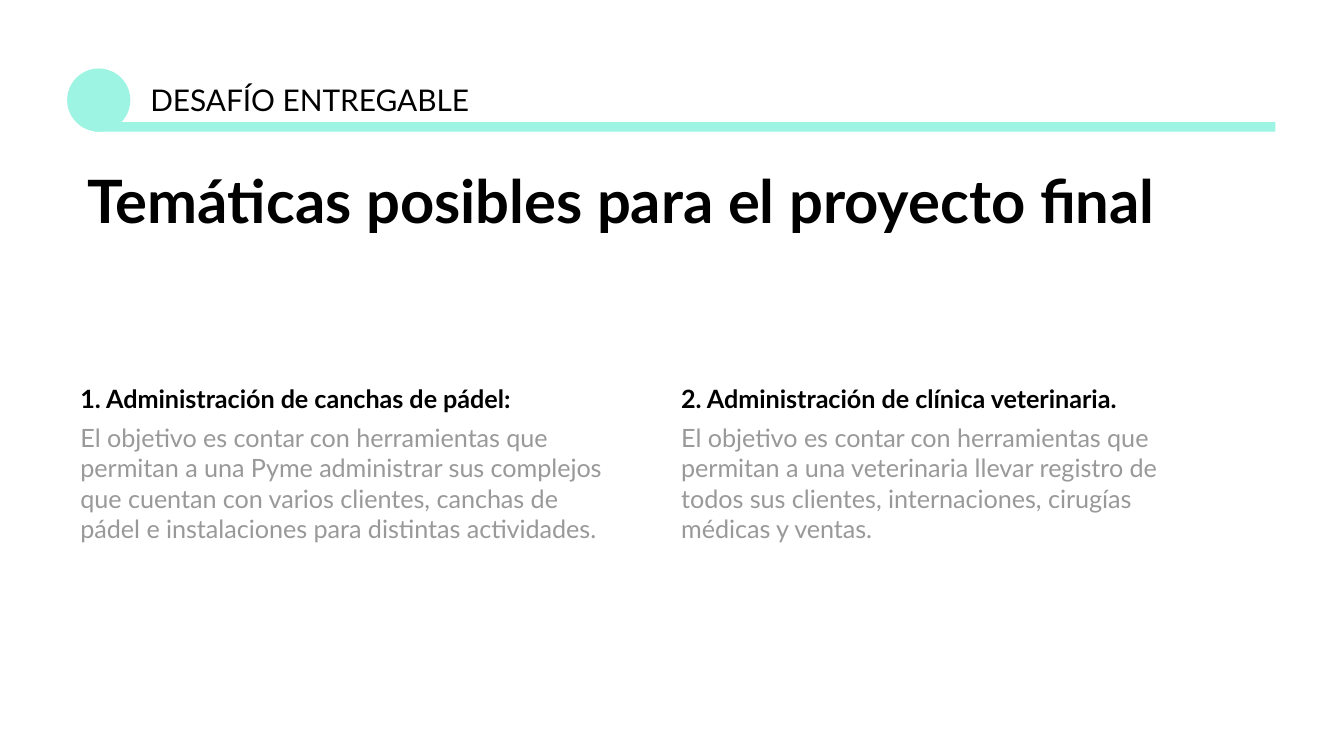
from pptx import Presentation
from pptx.dml.color import RGBColor
from pptx.enum.shapes import MSO_SHAPE as Shape
from pptx.enum.text import MSO_ANCHOR as Anchor, MSO_AUTO_SIZE as AutoSize, PP_ALIGN as Align
from pptx.util import Inches, Pt

FONT = "Lato"
MINT, BLACK, GRAY = "9DF4E2", "000000", "999999"

# Two-column grid, in inches
COLUMN_LEFT, COLUMN_TOP, COLUMN_STEP = 0.5, 2.75, 4.47
COLUMN_WIDTH, COLUMN_HEIGHTS = 4.19, (1.75, 1.52)
HEADER_TOP, HEADER_HEIGHT = 0.51, 0.47

TOPICS = [
    ("1. Administración de canchas de pádel:",
     "El objetivo es contar con herramientas que permitan a una Pyme administrar "
     "sus complejos que cuentan con varios clientes, canchas de pádel e "
     "instalaciones para distintas actividades."),
    ("2. Administración de clínica veterinaria.",
     "El objetivo es contar con herramientas que permitan a una veterinaria llevar "
     "registro de todos sus clientes, internaciones, cirugías médicas y ventas."),
]


def color(hex_code):
    return RGBColor.from_string(hex_code)


def inches(*lengths):
    return [Inches(length) for length in lengths]


def add_mint_shape(page, kind, *place):
    shape = page.shapes.add_shape(kind, *inches(*place))
    shape.shadow.inherit = False
    shape.fill.solid()
    shape.fill.fore_color.rgb = color(MINT)
    shape.line.fill.background()


def prepare_frame(box):
    frame = box.text_frame
    frame.word_wrap = True
    frame.auto_size = AutoSize.NONE
    frame.vertical_anchor = Anchor.TOP
    frame.margin_left = frame.margin_right = Inches(0.1)
    frame.margin_top = frame.margin_bottom = Inches(0.1)
    return frame


def write(para, text, size, hex_code=BLACK, bold=False):
    para.text = text
    para.alignment = Align.LEFT
    para.space_before = Pt(0)
    for span in para.runs:
        span.font.name = FONT
        span.font.size = Pt(size)
        span.font.bold = bold
        span.font.color.rgb = color(hex_code)


def add_title(page, text):
    title = page.shapes.title
    title.left, title.top, title.width, title.height = inches(0.55, 1.18, 8.38, 1.17)
    para = prepare_frame(title).paragraphs[0]
    write(para, text, 32, bold=True)
    para.line_spacing = 0.9


def add_header(page, text):
    add_mint_shape(page, Shape.OVAL, 0.5, HEADER_TOP, HEADER_HEIGHT, HEADER_HEIGHT)
    add_mint_shape(page, Shape.RECTANGLE, 0.7, 0.91, 8.79, 0.07)
    box = page.shapes.add_textbox(*inches(1.02, HEADER_TOP, 2.69, HEADER_HEIGHT))
    write(prepare_frame(box).paragraphs[0], text, 16)


def add_topic(page, column, heading, goal):
    left = COLUMN_LEFT + column * COLUMN_STEP
    box = page.shapes.add_textbox(
        *inches(left, COLUMN_TOP, COLUMN_WIDTH, COLUMN_HEIGHTS[column]))
    frame = prepare_frame(box)
    write(frame.paragraphs[0], heading, 13.5, bold=True)
    frame.paragraphs[0].space_after = Pt(5)
    goal_para = frame.add_paragraph()
    write(goal_para, goal, 13.5, GRAY)
    goal_para.space_after = Pt(8)


def main():
    # Widescreen page, 16:9
    deck = Presentation()
    deck.slide_width = Inches(10)
    deck.slide_height = deck.slide_width * 9 // 16
    page = deck.slides.add_slide(deck.slide_layouts.get_by_name("Title Only"))

    # Header band and title
    add_header(page, "DESAFÍO ENTREGABLE")
    add_title(page, "Temáticas posibles para el proyecto final")

    # One column per project topic
    for column, (heading, goal) in enumerate(TOPICS):
        add_topic(page, column, heading, goal)

    deck.save("out.pptx")


if __name__ == "__main__":
    main()
